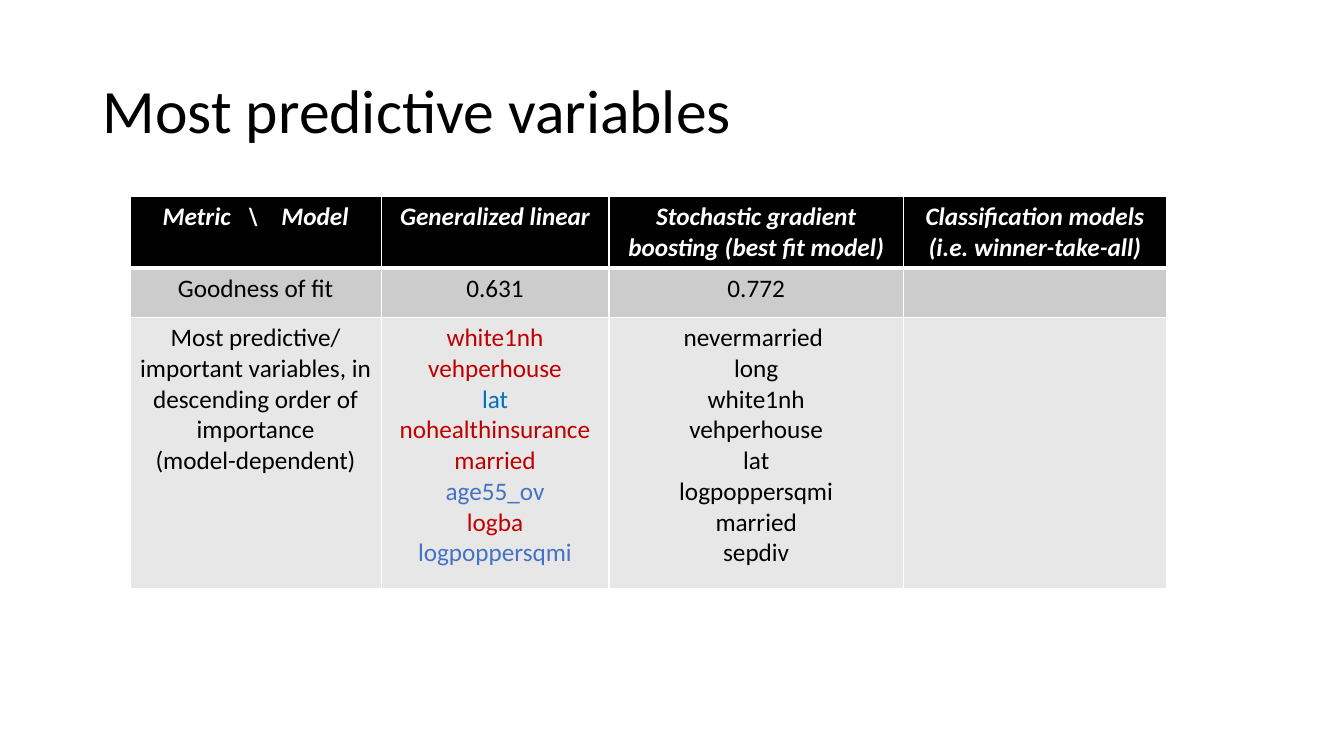
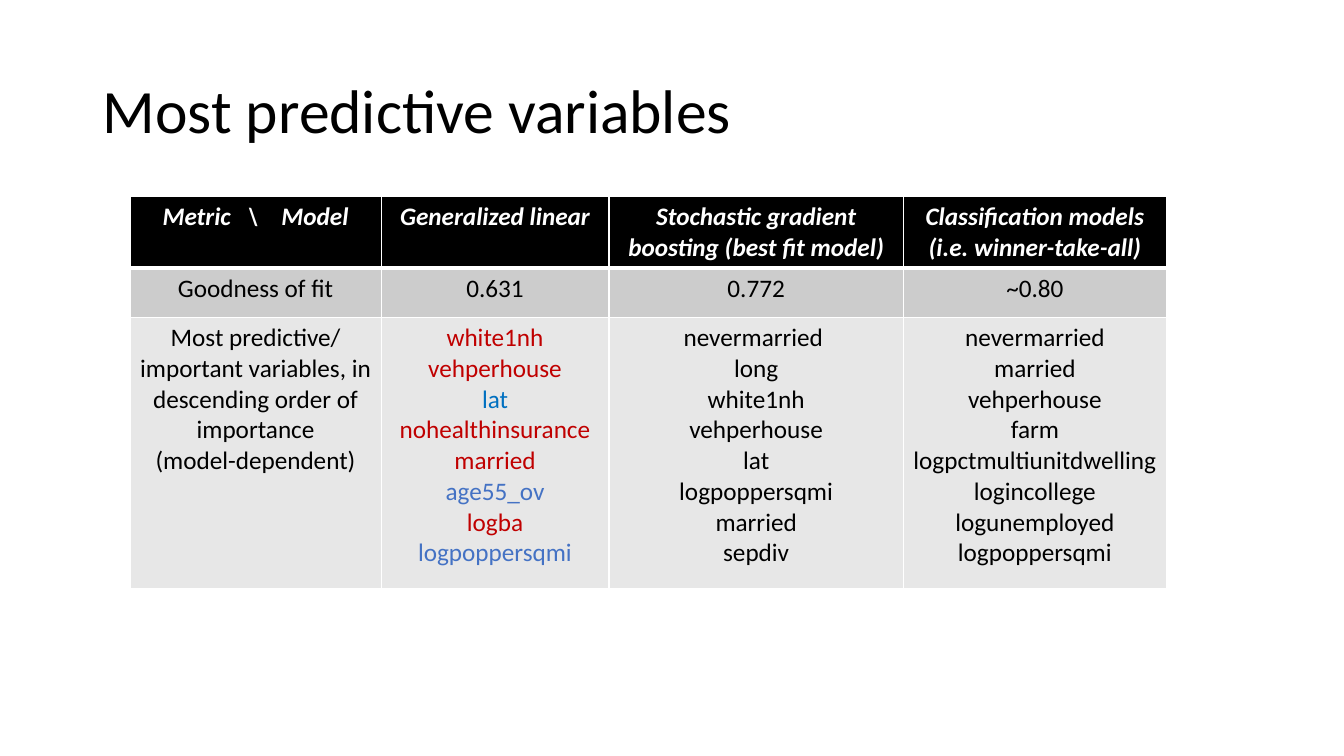
from lxml.etree import SubElement
from pptx import Presentation
from pptx.dml.color import RGBColor as RGB
from pptx.enum.text import MSO_ANCHOR as Anchor, PP_ALIGN as Align
from pptx.oxml.ns import qn
from pptx.util import Inches, Pt

COLORS = {
    "text": "000000", "white": "FFFFFF", "header": "000000",
    "fit_row": "CCCCCC", "variables_row": "E7E7E7",
    "red": "C00000", "sky": "0070C0", "blue": "4472C4",
}
FONT = "Calibri"
TITLE = "Most predictive variables"
HEADER = [
    ["Metric   \\    Model"],
    ["Generalized linear"],
    ["Stochastic gradient boosting (best fit model)"],
    ["Classification models", "(i.e. winner-take-all)"],
]
METRIC = [
    "Most predictive/",
    "important variables, in descending order of importance",
    "(model-dependent)",
]
# A line is plain text, or a pair of text and colour name.
LINEAR = [
    ("white1nh", "red"), ("vehperhouse", "red"), ("lat", "sky"),
    ("nohealthinsurance", "red"), ("married", "red"), ("age55_ov", "blue"),
    ("logba", "red"), ("logpoppersqmi", "blue"),
]
BOOSTING = ["nevermarried ", "long", "white1nh", "vehperhouse", "lat",
            "logpoppersqmi", "married", "sepdiv"]
CLASSIFICATION = ["nevermarried", "married", "vehperhouse", "farm",
                  "logpctmultiunitdwelling", "logincollege",
                  "logunemployed", "logpoppersqmi"]

# Goodness of fit and variables of the classification models, per slide
SLIDES = [([], []), (["~0.80"], CLASSIFICATION)]

TITLE_BOX = (0.92, 0.4, 11.5, 1.45)
TABLE_AT = (1.29, 1.95)
COL_WIDTHS = [2.49, 2.26, 2.92, 2.61]
ROW_HEIGHTS = [0.7, 0.49, 2.69]
ROW_FILLS = ["header", "fit_row", "variables_row"]
THIN, THICK = 1, 3


def color(name):
    return RGB.from_string(COLORS[name])


def style(p, size, color_name, bold=False):
    p.font.name, p.font.size = FONT, Pt(size)
    p.font.bold = p.font.italic = bold
    p.font.color.rgb = color(color_name)


def set_borders(cell, top, bottom):
    tc_pr = cell._tc.get_or_add_tcPr()
    for side, width in zip("LRTB", (THIN, THIN, top, bottom)):
        ln = SubElement(tc_pr, qn(f"a:ln{side}"), w=str(Pt(width)))
        fill = SubElement(ln, qn("a:solidFill"))
        SubElement(fill, qn("a:srgbClr"), val=COLORS["white"])


def fill_cell(cell, lines, row):
    is_header = row == 0
    set_borders(cell, THICK if row == 1 else THIN, THICK if is_header else THIN)
    cell.fill.solid()
    cell.fill.fore_color.rgb = color(ROW_FILLS[row])
    tf = cell.text_frame
    default = "white" if is_header else "text"
    for i, line in enumerate(lines):
        text, color_name = (line, default) if isinstance(line, str) else line
        p = tf.add_paragraph() if i else tf.paragraphs[0]
        p.text, p.alignment = text, Align.CENTER
        style(p, 18, color_name, bold=is_header)


def add_title(slide):
    title = slide.shapes.title
    title.left, title.top, title.width, title.height = map(Inches, TITLE_BOX)
    title.text_frame.vertical_anchor = Anchor.MIDDLE
    p = title.text_frame.paragraphs[0]
    p.text, p.alignment, p.line_spacing = TITLE, Align.LEFT, 0.9
    style(p, 44, "text")


def add_model_table(slide, rows):
    size = sum(COL_WIDTHS), sum(ROW_HEIGHTS)
    table = slide.shapes.add_table(
        len(rows), len(COL_WIDTHS), *map(Inches, TABLE_AT + size)).table
    for col, width in zip(table.columns, COL_WIDTHS):
        col.width = Inches(width)
    for r, (row, height) in enumerate(zip(rows, ROW_HEIGHTS)):
        table.rows[r].height = Inches(height)
        for c, lines in enumerate(row):
            fill_cell(table.cell(r, c), lines, r)


def main():
    prs = Presentation()
    prs.slide_width, prs.slide_height = Inches(13.33), Inches(7.5)
    title_only = prs.slide_layouts[5]
    for fit, variables in SLIDES:
        slide = prs.slides.add_slide(title_only)
        add_title(slide)
        add_model_table(slide, [
            HEADER,
            [["Goodness of fit"], ["0.631"], ["0.772"], fit],
            [METRIC, LINEAR, BOOSTING, variables],
        ])
    prs.save("out.pptx")


if __name__ == "__main__":
    main()
